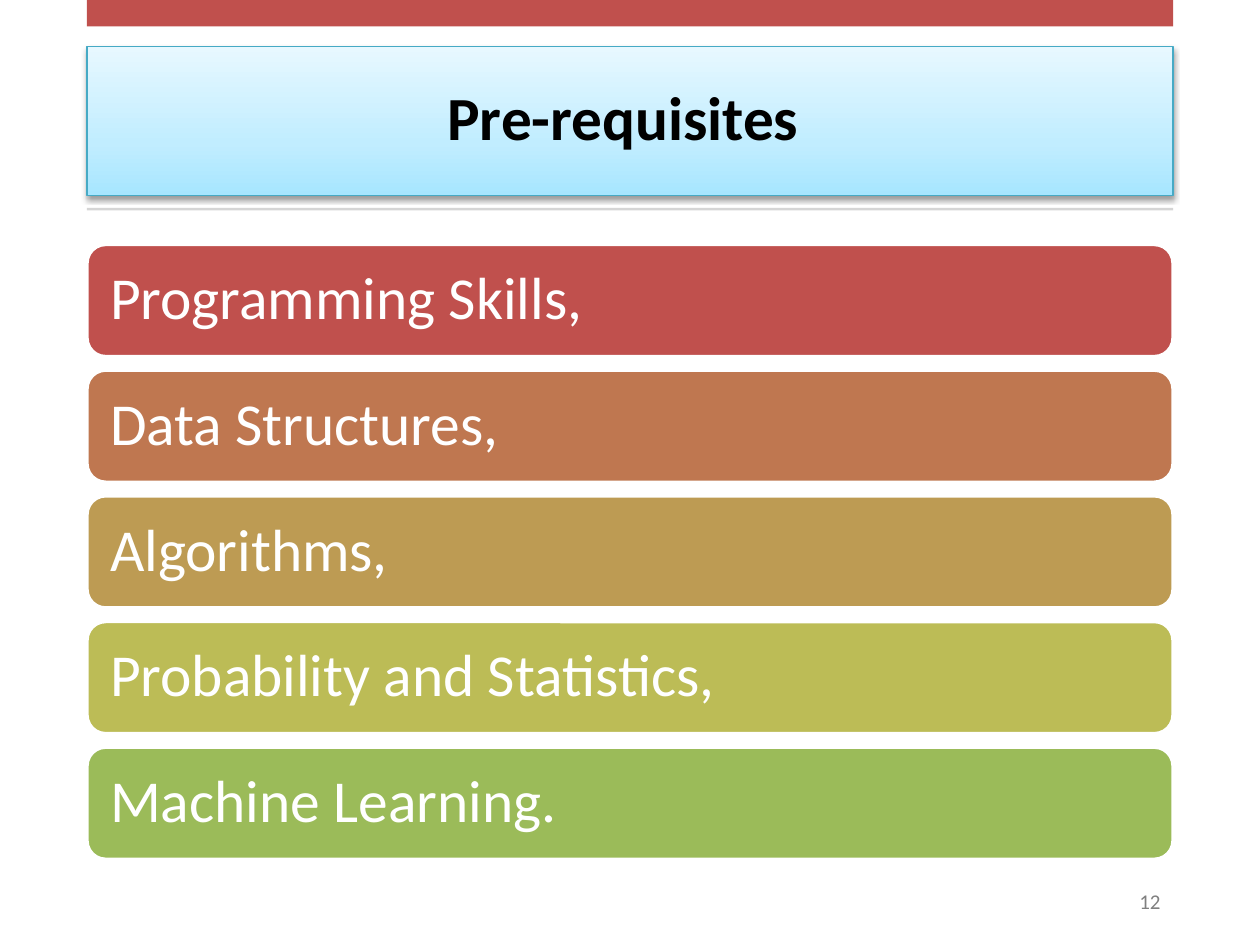
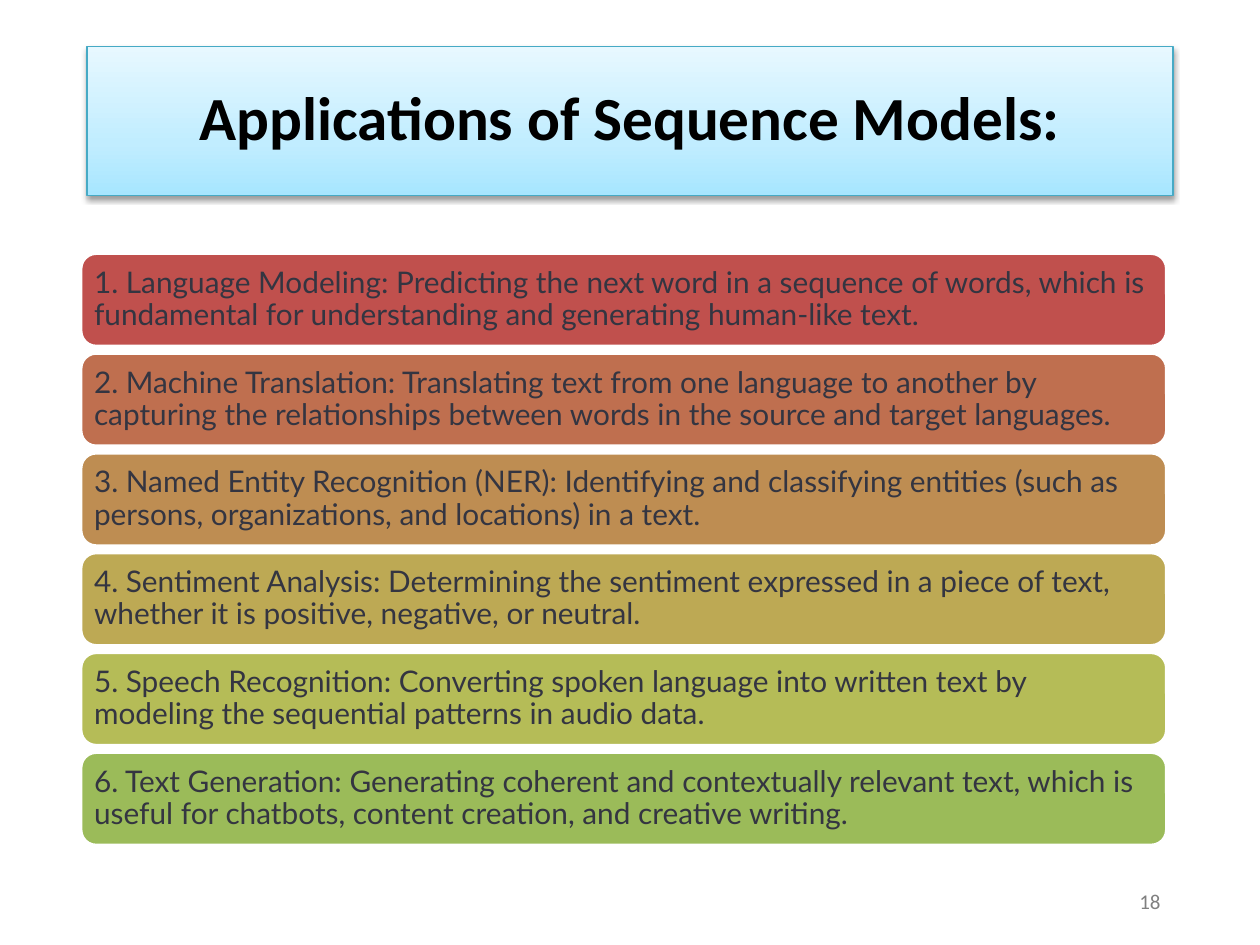
"""Build two slides that list prerequisites and applications as colour-graded bars."""
from copy import deepcopy

from lxml import etree
from pptx import Presentation
from pptx.dml.color import RGBColor
from pptx.enum.shapes import MSO_SHAPE
from pptx.enum.text import MSO_ANCHOR, MSO_AUTO_SIZE, PP_ALIGN
from pptx.oxml.ns import qn
from pptx.util import Inches, Pt

COLOURS = {
    "accent": "C0504D",
    "rule": "D5D5D5",
    "title_line": "46AAC5",
    "black": "000000",
    "white": "FFFFFF",
    "grey": "808080",
    "slate": "343541",
}
TITLE_STOPS = [(0, "A7E6FF"), (0.35, "C1EDFF"), (1, "E7F8FF")]
MARGIN = 0.69
CONTENT_WIDTH = 8.62
TITLE_FONT = "Calibri"

PREREQUISITES = [
    ("Programming Skills,", "C0504D"),
    ("Data Structures,", "BF7750"),
    ("Algorithms,", "BD9B53"),
    ("Probability and Statistics,", "BCBC56"),
    ("Machine Learning.", "9BBB59"),
]
APPLICATIONS = [
    ("1. Language Modeling: Predicting the next word in a sequence of words, "
     "which is fundamental for understanding and generating human-like text.", "C0504D"),
    ("2. Machine Translation: Translating text from one language to another by "
     "capturing the relationships between words in the source and target languages.", "BF6F4F"),
    ("3. Named Entity Recognition (NER): Identifying and classifying entities "
     "(such as persons, organizations, and locations) in a text.", "BE8D52"),
    ("4. Sentiment Analysis: Determining the sentiment expressed in a piece of text, "
     "whether it is positive, negative, or neutral.", "BDA954"),
    ("5. Speech Recognition: Converting spoken language into written text by "
     "modeling the sequential patterns in audio data.", "B5BC57"),
    ("6. Text Generation: Generating coherent and contextually relevant text, "
     "which is useful for chatbots, content creation, and creative writing.", "9BBB59"),
]


def rgb(colour):
    """Return a colour object for a hex string."""
    return RGBColor.from_string(colour)


def write_text(shape, text, font, size, colour, align, bold=False):
    """Put one formatted, vertically centred paragraph into a shape."""
    frame = shape.text_frame
    frame.text = text
    frame.word_wrap = True
    frame.auto_size = MSO_AUTO_SIZE.NONE
    frame.vertical_anchor = MSO_ANCHOR.MIDDLE
    paragraph = frame.paragraphs[0]
    paragraph.alignment = align
    span = paragraph.runs[0]
    span.font.name = font
    span.font.size = Pt(size)
    span.font.bold = bold
    span.font.color.rgb = rgb(colour)
    return paragraph


def add_block(page, kind, left, top, width, height, fill):
    """Add a flat, filled preset shape without an outline."""
    block = page.shapes.add_shape(
        kind, Inches(left), Inches(top), Inches(width), Inches(height))
    block.shadow.inherit = False
    block.fill.solid()
    block.fill.fore_color.rgb = rgb(fill)
    block.line.fill.background()
    return block


def fill_title_gradient(title):
    """Fill the title with its three-stop vertical gradient."""
    title.fill.gradient()
    title.fill.gradient_angle = 90
    stop_list = title._element.spPr.find(qn("a:gradFill")).find(qn("a:gsLst"))
    stop_list.append(deepcopy(stop_list[0]))
    for stop, (position, colour) in zip(title.fill.gradient_stops, TITLE_STOPS):
        stop.position = position
        stop.color.rgb = rgb(colour)


def add_title_shadow(title):
    """Add a soft shadow below the title."""
    effects = etree.SubElement(title._element.spPr, qn("a:effectLst"))
    shadow = etree.SubElement(
        effects, qn("a:outerShdw"), blurRad=str(Pt(3.1)), dist=str(Pt(1.6)),
        dir="5400000", rotWithShape="0")
    colour = etree.SubElement(shadow, qn("a:srgbClr"), val=COLOURS["black"])
    etree.SubElement(colour, qn("a:alpha"), val="38000")


def format_title(page, text):
    """Place and style the title placeholder."""
    title = page.shapes.title
    title.left, title.top = Inches(MARGIN), Inches(0.37)
    title.width, title.height = Inches(CONTENT_WIDTH), Inches(1.18)
    fill_title_gradient(title)
    title.line.color.rgb = rgb(COLOURS["title_line"])
    title.line.width = Pt(0.75)
    add_title_shadow(title)
    paragraph = write_text(
        title, text, TITLE_FONT, 35, COLOURS["black"], PP_ALIGN.CENTER, bold=True)
    paragraph.line_spacing = 0.9
    paragraph.space_after = Pt(6)


def add_page_number(page, number):
    """Add the grey page number at the lower right."""
    box = page.shapes.add_textbox(Inches(7.15), Inches(6.95), Inches(2.16), Inches(0.4))
    paragraph = write_text(
        box, str(number), TITLE_FONT, 12, COLOURS["grey"], PP_ALIGN.RIGHT)
    paragraph.space_after = Pt(6)


def add_page(deck, title, number):
    """Add a title-only slide with its title and page number."""
    page = deck.slides.add_slide(deck.slide_layouts[5])
    format_title(page, title)
    add_page_number(page, number)
    return page


def add_bars(page, items, left, first_top, last_top, height, inset, font, size, colour):
    """Stack evenly spaced rounded bars, one for each item."""
    pitch = (last_top - first_top) / (len(items) - 1)
    for index, (text, fill) in enumerate(items):
        bar = add_block(page, MSO_SHAPE.ROUNDED_RECTANGLE, left,
                        first_top + index * pitch, CONTENT_WIDTH, height, fill)
        bar.line.color.rgb = rgb(COLOURS["white"])
        bar.line.width = Pt(2)
        frame = bar.text_frame
        frame.margin_left = frame.margin_right = Inches(inset)
        frame.margin_top = frame.margin_bottom = Inches(inset)
        paragraph = write_text(bar, text, font, size, colour, PP_ALIGN.LEFT)
        paragraph.line_spacing = 0.9


def main():
    """Build and save the deck."""
    deck = Presentation()
    deck.slide_width, deck.slide_height = Inches(10), Inches(7.5)

    page = add_page(deck, "Pre-requisites ", 12)
    add_block(page, MSO_SHAPE.RECTANGLE, MARGIN, 0, CONTENT_WIDTH, 0.21, COLOURS["accent"])
    add_block(page, MSO_SHAPE.RECTANGLE, MARGIN, 1.65, CONTENT_WIDTH, 0.02, COLOURS["rule"])
    add_bars(page, PREREQUISITES, MARGIN, 1.94, 5.93, 0.89, 0.14,
             "Calibri", 34, COLOURS["white"])

    page = add_page(deck, "Applications of Sequence Models:", 18)
    add_bars(page, APPLICATIONS, 0.64, 2.01, 5.97, 0.74, 0.07,
             "Lato", 17, COLOURS["slate"])

    deck.save("out.pptx")


if __name__ == "__main__":
    main()
